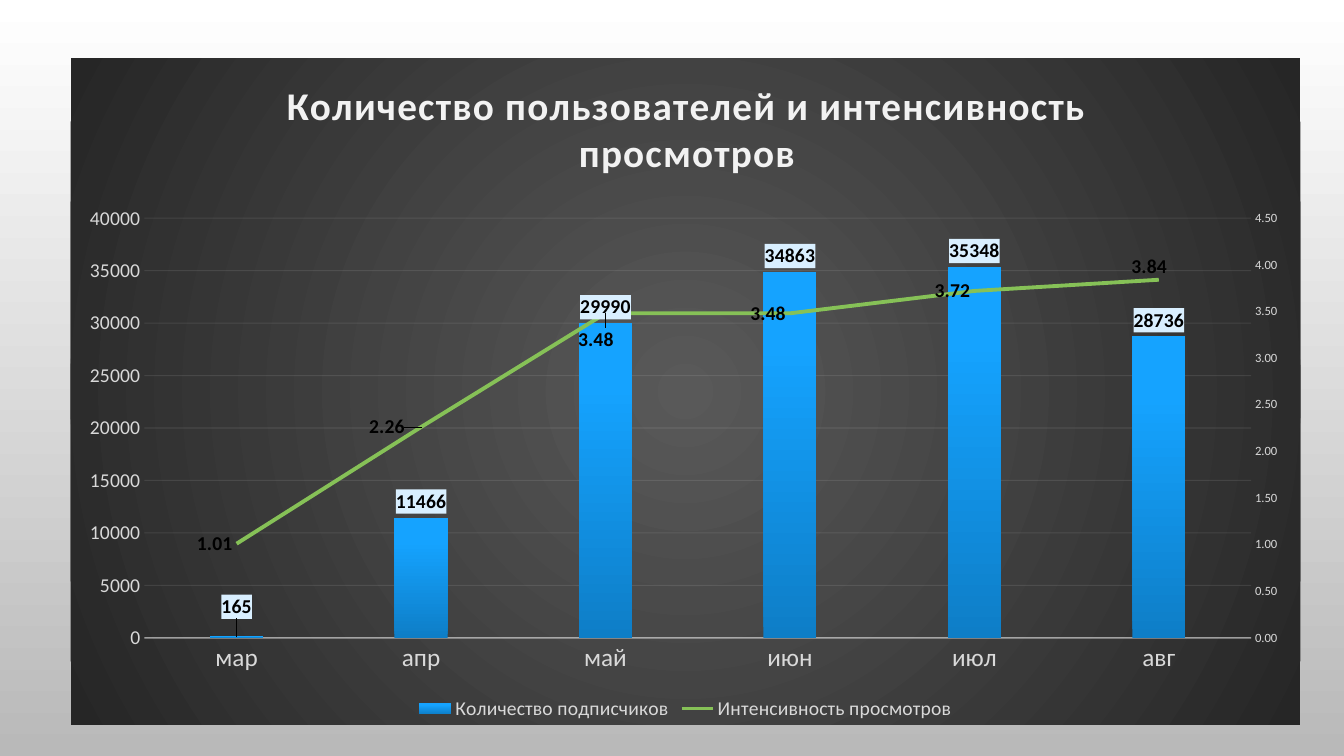
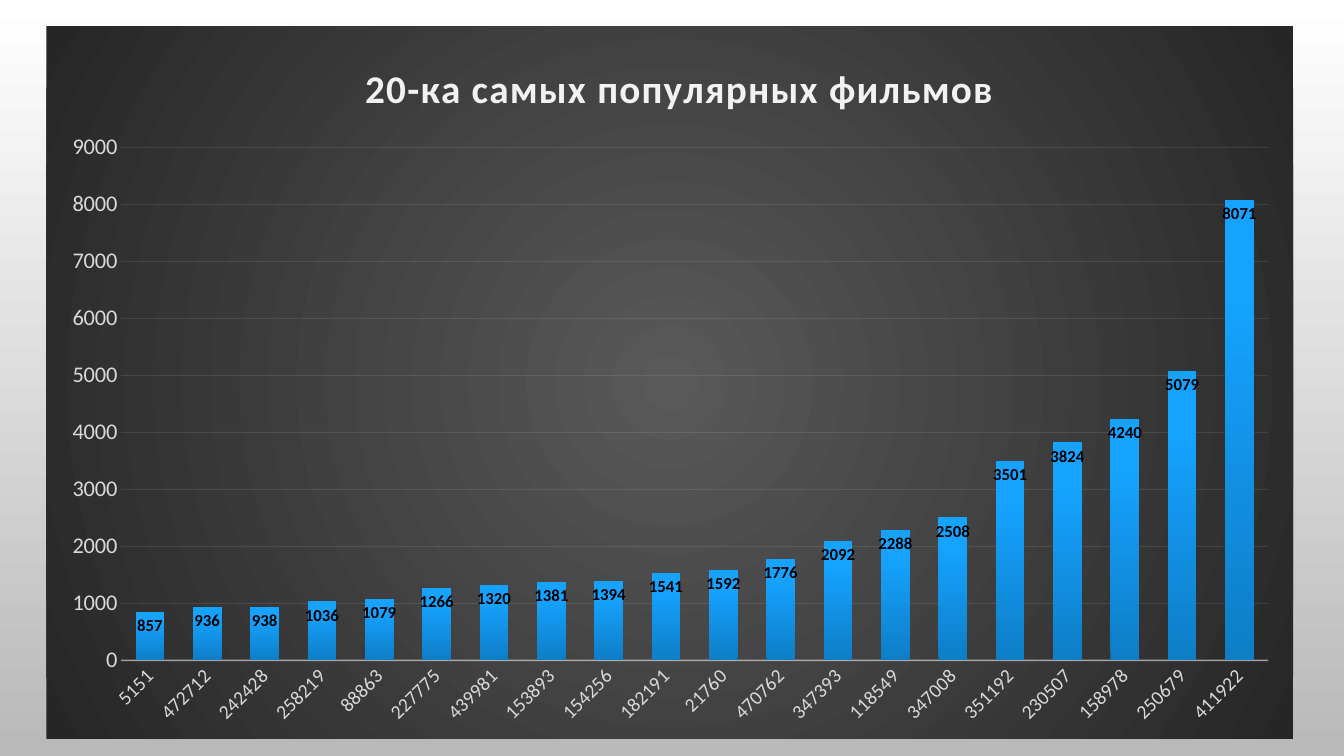
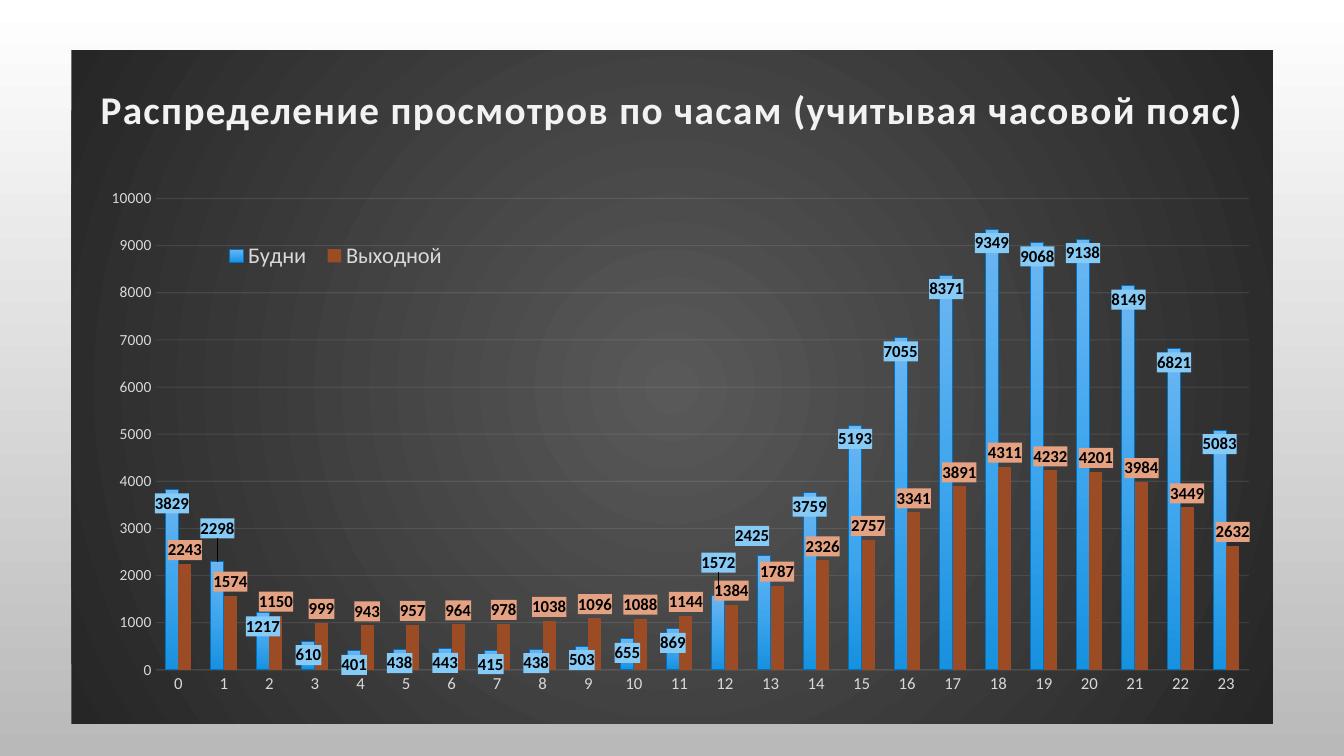
import copy

import pptx
import pptx.chart.axis
import pptx.chart.data
import pptx.dml.color
import pptx.enum.chart
import pptx.oxml
import pptx.oxml.ns
import pptx.util
from pptx.enum.chart import XL_LABEL_POSITION
from pptx.oxml.ns import qn
from pptx.util import Cm, Pt

FONT = "Calibri"
COLORS = {
    "page top": "FFFFFF",
    "page bottom": "B9B9B9",
    "panel center": "595959",
    "panel edge": "262626",
    "title": "F2F2F2",
    "axis text": "D9D9D9",
    "label text": "000000",
    "line": "F2F2F2",
    "views line": "86C157",
    "weekday outline": "0070C0",
    "weekend": "9B4C25",
    "pale label": "D9EFFF",
    "weekday label": "86CBF5",
    "weekend label": "E4A283",
}
BLUE_BARS = ([(0, "0E7EC7"), (80, "15A3FF"), (100, "16A4FF")], 270)
WEEKDAY_BARS = ([(0, "6CB6F1"), (50, "3FA6EE"), (100, "1891DF")], 90)

MONTHS = ["мар", "апр", "май", "июн", "июл", "авг"]
SUBSCRIBERS = [165, 11466, 29990, 34863, 35348, 28736]
INTENSITY = [1.01, 2.26, 3.48, 3.48, 3.72, 3.84]
FILMS = {
    "5151": 857, "472712": 936, "242428": 938, "258219": 1036, "88863": 1079,
    "227775": 1266, "439981": 1320, "153893": 1381, "154256": 1394, "182191": 1541,
    "21760": 1592, "470762": 1776, "347393": 2092, "118549": 2288, "347008": 2508,
    "351192": 3501, "230507": 3824, "158978": 4240, "250679": 5079, "411922": 8071,
}
WEEKDAYS = [3829, 2298, 1217, 610, 401, 438, 443, 415, 438, 503, 655, 869,
            1572, 2425, 3759, 5193, 7055, 8371, 9349, 9068, 9138, 8149, 6821, 5083]
WEEKENDS = [2243, 1574, 1150, 999, 943, 957, 964, 978, 1038, 1096, 1088, 1144,
            1384, 1787, 2326, 2757, 3341, 3891, 4311, 4232, 4201, 3984, 3449, 2632]


def rgb(name):
    return pptx.dml.color.RGBColor.from_string(COLORS[name])


def make_element(xml):
    """Parse XML whose root carries the placeholder NS for its namespaces."""
    return pptx.oxml.parse_xml(xml.replace("NS", pptx.oxml.ns.nsdecls("a", "c"), 1))


def remove_children(parent, tag):
    for child in parent.findall(qn(tag)):
        parent.remove(child)


def make_gradient(stops, direction):
    stop_xml = "".join(
        f'<a:gs pos="{position * 1000}"><a:srgbClr val="{color}"/></a:gs>'
        for position, color in stops)
    return make_element(f"<a:gradFill NS><a:gsLst>{stop_xml}</a:gsLst>{direction}</a:gradFill>")


def fill_bars(series, stops, angle):
    direction = f'<a:lin ang="{angle * 60000}" scaled="0"/>'
    series._element.get_or_add_spPr().insert(0, make_gradient(stops, direction))


def fill_panel(chart):
    """Give the whole chart area its dark radial gradient."""
    properties = make_element("<c:spPr NS><a:ln><a:noFill/></a:ln></c:spPr>")
    stops = [(0, COLORS["panel center"]), (100, COLORS["panel edge"])]
    direction = '<a:path path="circle"><a:fillToRect l="50000" t="50000" r="50000" b="50000"/></a:path>'
    properties.insert(0, make_gradient(stops, direction))
    chart._chartSpace.find(qn("c:chart")).addnext(properties)


def set_layout(parent, index, x, y, size=None, inner=False):
    """Place a chart part by fractions of the chart area."""
    remove_children(parent, "c:layout")
    target = '<c:layoutTarget val="inner"/>' if inner else ""
    extent = f'<c:w val="{size[0]}"/><c:h val="{size[1]}"/>' if size else ""
    parent.insert(index, make_element(
        f'<c:layout NS><c:manualLayout>{target}<c:xMode val="edge"/><c:yMode val="edge"/>'
        f'<c:x val="{x}"/><c:y val="{y}"/>{extent}</c:manualLayout></c:layout>'))


def style_font(font, size, color, bold=False):
    font.name = FONT
    font.size = Pt(size)
    font.bold = bold
    font.color.rgb = rgb(color)


def write_title(text_frame, text):
    run = text_frame.paragraphs[0].add_run()
    run.text = text
    style_font(run.font, 28, "title", bold=True)
    run._r.get_or_add_rPr().set("spc", "100")


def style_line(line, width, opacity):
    line.color.rgb = rgb("line")
    line.width = Pt(width)
    color = line._get_or_add_ln().find(".//" + qn("a:srgbClr"))
    color.append(make_element(f'<a:alpha NS val="{opacity * 1000}"/>'))


def style_axis(axis, size):
    axis.major_tick_mark = axis.minor_tick_mark = pptx.enum.chart.XL_TICK_MARK.NONE
    style_font(axis.tick_labels.font, size, "axis text")


def scale_axis(axis, maximum, step):
    axis.minimum_scale = 0
    axis.maximum_scale = maximum
    axis.major_unit = step


def add_chart(slide, box, categories, series_values, plot, gap, overlap=0):
    data = pptx.chart.data.CategoryChartData()
    data.categories = categories
    for name, values in series_values.items():
        data.add_series(name, values)
    kind = pptx.enum.chart.XL_CHART_TYPE.COLUMN_CLUSTERED
    chart = slide.shapes.add_chart(kind, *map(Cm, box), data).chart
    style_font(chart.font, 10, "label text")
    fill_panel(chart)
    chart.has_title = chart.has_legend = False
    bars = chart.plots[0]
    bars.vary_by_categories = False
    bars.gap_width = gap
    bars.overlap = overlap
    x, y, *size = plot
    set_layout(chart._chartSpace.find(".//" + qn("c:plotArea")), 0, x, y, size, inner=True)
    return chart


def style_axes(chart, category_size, value_size, maximum, step, line_width=1, line_opacity=54):
    style_axis(chart.category_axis, category_size)
    style_line(chart.category_axis.format.line, line_width, line_opacity)
    style_axis(chart.value_axis, value_size)
    chart.value_axis.format.line.fill.background()
    style_line(chart.value_axis.major_gridlines.format.line, 0.75, 10)
    scale_axis(chart.value_axis, maximum, step)


def add_chart_title(chart, text, x, y):
    chart.has_title = True
    write_title(chart.chart_title.text_frame, text)
    set_layout(chart.chart_title._element, 1, x, y)


def add_legend(chart, size):
    chart.has_legend = True
    chart.legend.position = pptx.enum.chart.XL_LEGEND_POSITION.BOTTOM
    chart.legend.include_in_layout = False
    style_font(chart.legend.font, size, "axis text")


def add_labels(series, size, position, fill=None, number_format=None, offsets=None):
    """Show values; offsets maps a point index to its shift in fractions of the chart."""
    labels = series.data_labels
    style_font(labels.font, size, "label text", bold=True)
    labels.show_value = True
    labels.position = position
    if number_format:
        labels.number_format = number_format
        labels.number_format_is_linked = False
    element = labels._element
    remove_children(element, "c:showLeaderLines")
    if fill:
        element.find(qn("c:txPr")).addprevious(make_element(
            f'<c:spPr NS><a:solidFill><a:srgbClr val="{COLORS[fill]}"/></a:solidFill></c:spPr>'))
    shared_parts = list(element)
    for place, (index, (x, y)) in enumerate((offsets or {}).items()):
        label = make_element(
            f'<c:dLbl NS><c:idx val="{index}"/><c:layout><c:manualLayout>'
            f'<c:x val="{x}"/><c:y val="{y}"/></c:manualLayout></c:layout></c:dLbl>')
        label.extend([copy.deepcopy(part) for part in shared_parts])
        element.insert(place, label)


def move_to_right_axis(chart, series):
    """Turn a bar series into a line with its own value axis; return both."""
    element = series._element
    remove_children(element, "c:invertIfNegative")
    line_plot = make_element(
        '<c:lineChart NS><c:grouping val="standard"/><c:varyColors val="0"/>'
        '<c:marker val="1"/><c:axId val="5001"/><c:axId val="5002"/></c:lineChart>')
    line_plot.insert(2, element)
    chart.plots[0]._element.addnext(line_plot)

    left = chart.value_axis._element
    category = copy.deepcopy(chart.category_axis._element)
    right = copy.deepcopy(left)
    left.addnext(right)
    right.addnext(category)
    for axis, own, crossed in ((category, "5001", "5002"), (right, "5002", "5001")):
        axis.find(qn("c:axId")).set("val", own)
        axis.find(qn("c:crossAx")).set("val", crossed)
    category.find(qn("c:delete")).set("val", "1")
    right.find(qn("c:axPos")).set("val", "r")
    right.find(qn("c:crosses")).set("val", "max")
    right_axis = pptx.chart.axis.ValueAxis(right)
    right_axis.has_major_gridlines = False
    return chart.plots[1].series[0], right_axis


def build_users_slide(slide):
    chart = add_chart(
        slide, (1.78, 1.47, 30.99, 16.79), MONTHS,
        {"Количество подписчиков": SUBSCRIBERS, "Интенсивность просмотров": INTENSITY},
        plot=(0.06, 0.24, 0.9, 0.63), gap=247, overlap=-27)
    style_axes(chart, 18, 14, 40000, 5000)
    add_chart_title(chart, "Количество пользователей и интенсивность просмотров", 0.17, 0.02)
    add_legend(chart, 14)
    subscribers, intensity = chart.plots[0].series
    fill_bars(subscribers, *BLUE_BARS)
    add_labels(subscribers, 14, XL_LABEL_POSITION.OUTSIDE_END, "pale label",
               offsets={0: (0, -0.02)})

    views, right_axis = move_to_right_axis(chart, intensity)
    style_axis(right_axis, 9)
    scale_axis(right_axis, 4.5, 0.5)
    right_axis.tick_labels.number_format = "0.00"
    right_axis.tick_labels.number_format_is_linked = False
    views.smooth = False
    views.marker.style = pptx.enum.chart.XL_MARKER_STYLE.NONE
    views.format.line.color.rgb = rgb("views line")
    views.format.line.width = Pt(2.75)
    add_labels(views, 14, XL_LABEL_POSITION.LEFT, number_format="0.00",
               offsets={1: (-0.01, 0), 2: (0.01, 0.04), 5: (0.01, -0.02)})


def build_films_slide(slide):
    chart = add_chart(
        slide, (1.17, 0.66, 31.42, 17.96), list(FILMS), {"Series 1": list(FILMS.values())},
        plot=(0.06, 0.17, 0.92, 0.72), gap=100, overlap=-24)
    style_axes(chart, 14, 16, 9000, 1000)
    chart.category_axis._element.find(qn("c:txPr")).find(qn("a:bodyPr")).set("rot", "-2700000")
    add_chart_title(chart, "20-ка самых популярных фильмов", 0.25, 0.04)
    films = chart.plots[0].series[0]
    fill_bars(films, *BLUE_BARS)
    add_labels(films, 12, XL_LABEL_POSITION.INSIDE_END)


def build_hours_slide(slide):
    left, width = 1.8, 30.28
    chart = add_chart(
        slide, (left, 1.27, width, 16.97), [str(hour) for hour in range(24)],
        {"Будни": WEEKDAYS, "Выходной": WEEKENDS},
        plot=(0.07, 0.22, 0.91, 0.7), gap=150)
    style_axes(chart, 12, 11, 10000, 1000, line_width=0.75, line_opacity=10)
    add_legend(chart, 16)
    set_layout(chart.legend._element, 1, 0.12, 0.28, (0.2, 0.05))
    weekdays, weekends = chart.plots[0].series
    fill_bars(weekdays, *WEEKDAY_BARS)
    weekdays.format.line.color.rgb = rgb("weekday outline")
    weekdays.format.line.width = Pt(0.75)
    add_labels(weekdays, 12, XL_LABEL_POSITION.INSIDE_END, "weekday label",
               offsets={1: (0, -0.07), 12: (0, -0.07), 13: (-0.01, -0.05)})
    weekends.format.fill.solid()
    weekends.format.fill.fore_color.rgb = rgb("weekend")
    add_labels(weekends, 12, XL_LABEL_POSITION.OUTSIDE_END, "weekend label")

    title = slide.shapes.title
    title.left, title.top, title.width, title.height = map(Cm, (left, 2.01, width, 1.45))
    write_title(title.text_frame, "Распределение просмотров по часам (учитывая часовой пояс)")
    slide.shapes._spTree.append(title._element)  # in front of the chart


def set_background(master):
    fill = master.background.fill
    fill.gradient()
    fill.gradient_angle = 270
    for stop, position, name in zip(fill.gradient_stops, (0, 1), ("page top", "page bottom")):
        stop.position = position
        stop.color.rgb = rgb(name)


def main():
    deck = pptx.Presentation()
    deck.slide_width, deck.slide_height = Cm(33.87), Cm(19.05)
    set_background(deck.slide_master)
    title_only, blank = deck.slide_layouts[5], deck.slide_layouts[6]
    build_users_slide(deck.slides.add_slide(blank))
    build_films_slide(deck.slides.add_slide(blank))
    build_hours_slide(deck.slides.add_slide(title_only))
    deck.save("out.pptx")


if __name__ == "__main__":
    main()
